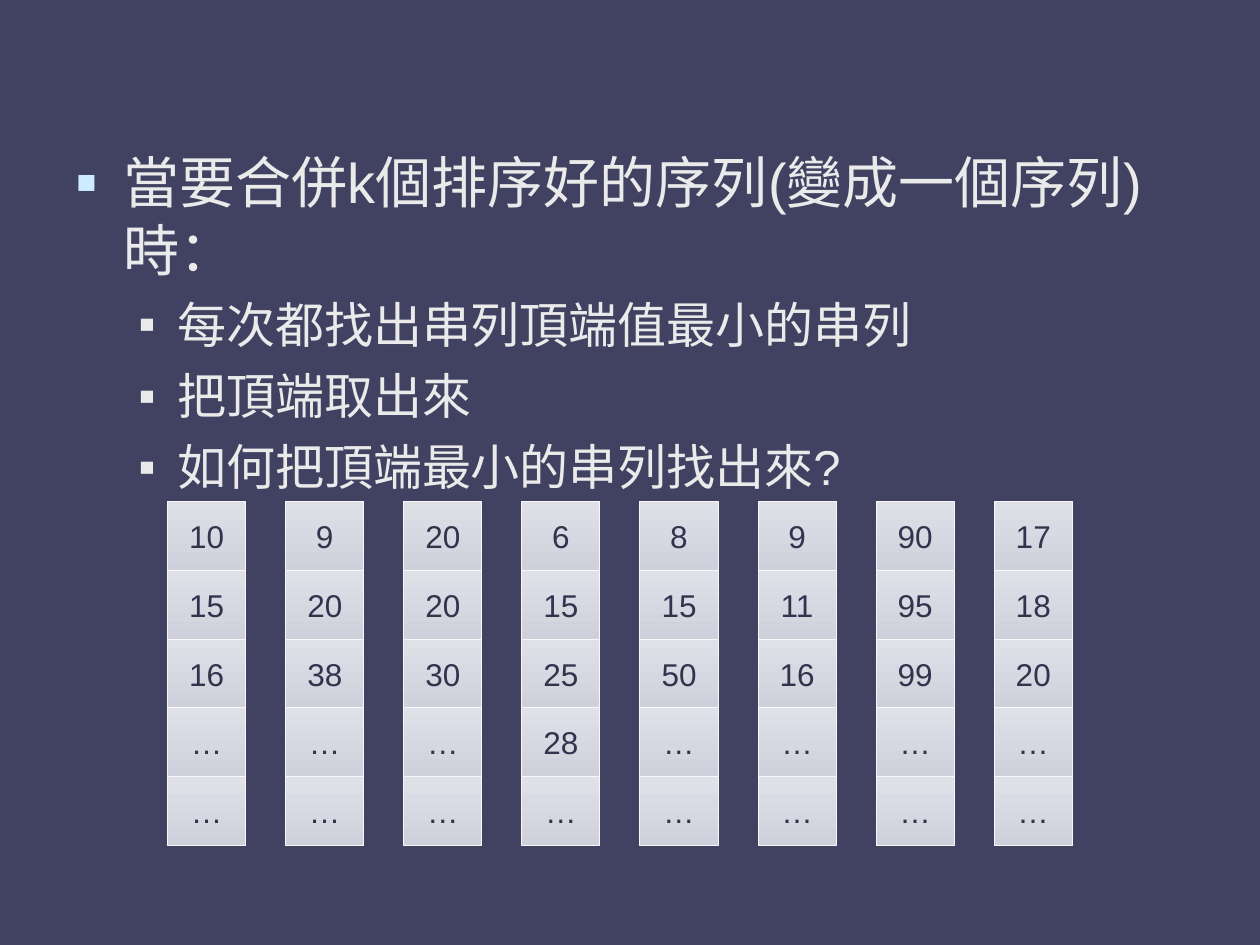
from lxml.etree import SubElement
from pptx import Presentation
from pptx.dml.color import RGBColor
from pptx.enum.shapes import MSO_SHAPE as Shape
from pptx.enum.text import MSO_ANCHOR as Anchor, PP_ALIGN as Align
from pptx.oxml.ns import qn
from pptx.util import Inches, Pt

WIDTH, HEIGHT = 10, 7.5
HEADING = "當要合併k個排序好的序列(變成一個序列)時："
STEPS = ["每次都找出串列頂端值最小的串列", "把頂端取出來", "如何把頂端最小的串列找出來?"]
SORTED_LISTS = [
    ["10", "15", "16", "…", "…"],
    ["9", "20", "38", "…", "…"],
    ["20", "20", "30", "…", "…"],
    ["6", "15", "25", "28", "…"],
    ["8", "15", "50", "…", "…"],
    ["9", "11", "16", "…", "…"],
    ["90", "95", "99", "…", "…"],
    ["17", "18", "20", "…", "…"],
]


def color(hex_string):
    return RGBColor.from_string(hex_string)


class MergeSlide:
    font_name = "Arial"
    background, text_color, accent = "414161", "EAEAEA", "CCECFF"
    cell_colors, cell_line, cell_text = ("E0E0E8", "D0D0DC"), "F8F8F8", "33334D"
    grid_left, grid_top = 1.33, 3.98
    column_pitch, row_height = 6.56 / 7, 2.73 / 5
    cell_width = 0.62

    def __init__(self, presentation):
        self.slide = presentation.slides.add_slide(presentation.slide_layouts[6])
        fill = self.slide.background.fill
        fill.solid()
        fill.fore_color.rgb = color(self.background)

    def set_font(self, paragraph, size, hex_string):
        font = paragraph.font
        font.name, font.size = self.font_name, Pt(size)
        font.color.rgb = color(hex_string)

    def bullet(self, paragraph, hex_string, percent, margin, hanging):
        """Give the paragraph a square bullet with a hanging indent in inches."""
        properties = paragraph._p.get_or_add_pPr()
        properties.set("marL", str(Inches(margin)))
        properties.set("indent", str(-Inches(hanging)))
        bullet_color = SubElement(properties, qn("a:buClr"))
        SubElement(bullet_color, qn("a:srgbClr"), val=hex_string)
        SubElement(properties, qn("a:buSzPct"), val=str(percent * 1000))
        SubElement(properties, qn("a:buFont"), typeface=self.font_name)
        SubElement(properties, qn("a:buChar"), char="▪")

    def outline(self, heading, steps):
        box = self.slide.shapes.add_textbox(
            Inches(0.05 * WIDTH), Inches(0.15 * HEIGHT), Inches(0.9 * WIDTH), Inches(0.66 * HEIGHT))
        frame = box.text_frame
        frame.word_wrap = True
        paragraph = frame.paragraphs[0]
        paragraph.text = heading
        self.bullet(paragraph, self.accent, 115, 0.38, 0.38)
        self.set_font(paragraph, 32, self.text_color)
        for step in steps:
            paragraph = frame.add_paragraph()
            paragraph.text, paragraph.level = step, 1
            self.bullet(paragraph, self.text_color, 100, 0.81, 0.31)
            paragraph.space_before = Pt(7)
            self.set_font(paragraph, 28, self.text_color)

    def cell(self, column, row, value):
        shape = self.slide.shapes.add_shape(
            Shape.RECTANGLE,
            Inches(self.grid_left + column * self.column_pitch),
            Inches(self.grid_top + row * self.row_height),
            Inches(self.cell_width), Inches(self.row_height))
        shape.shadow.inherit = False
        shape.fill.gradient()
        shape.fill.gradient_angle = 270
        for stop, hex_string in zip(shape.fill.gradient_stops, self.cell_colors):
            stop.color.rgb = color(hex_string)
        shape.line.color.rgb = color(self.cell_line)
        shape.line.width = Pt(0.5)
        frame = shape.text_frame
        frame.vertical_anchor = Anchor.MIDDLE
        paragraph = frame.paragraphs[0]
        paragraph.text, paragraph.alignment = value, Align.CENTER
        self.set_font(paragraph, 18, self.cell_text)

    def sorted_lists(self, lists):
        for column, values in enumerate(lists):
            for row, value in enumerate(values):
                self.cell(column, row, value)


def main():
    presentation = Presentation()
    presentation.slide_width, presentation.slide_height = Inches(WIDTH), Inches(HEIGHT)
    merge_slide = MergeSlide(presentation)
    merge_slide.outline(HEADING, STEPS)
    merge_slide.sorted_lists(SORTED_LISTS)
    presentation.save("out.pptx")


if __name__ == "__main__":
    main()
